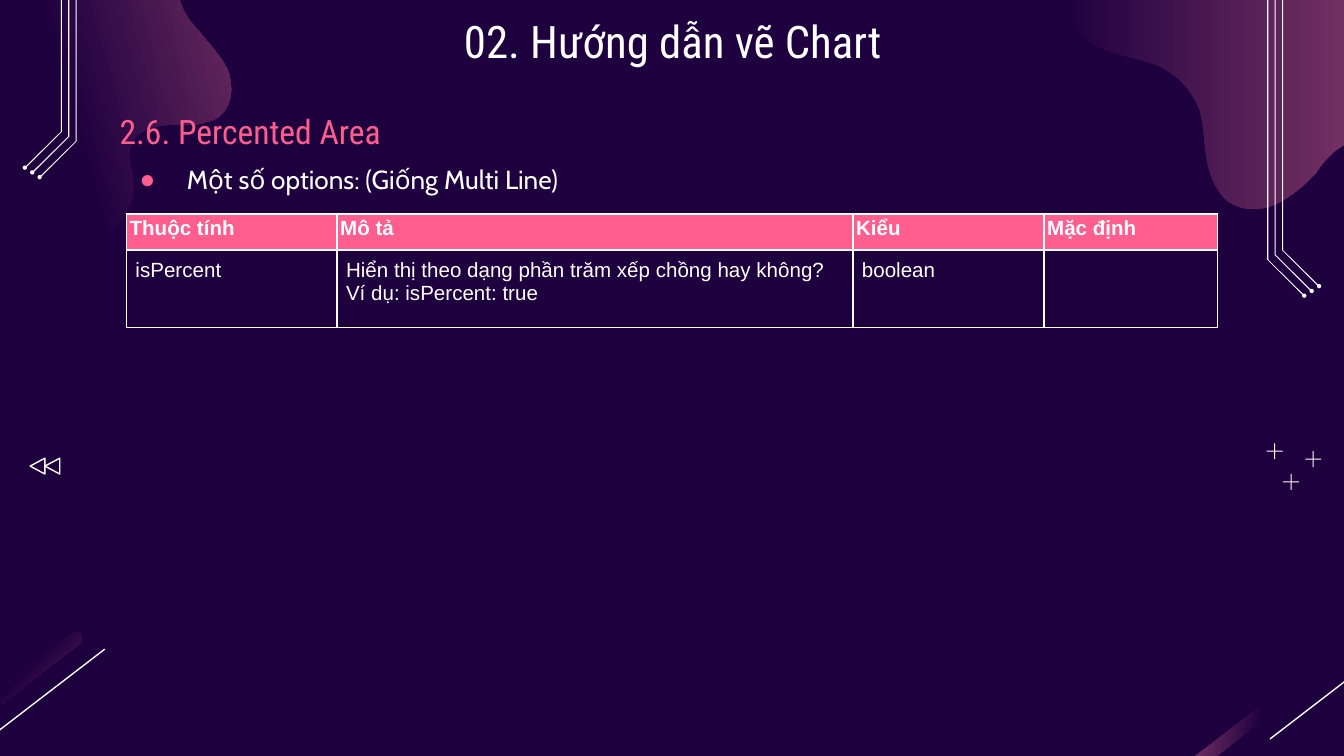
from lxml.etree import SubElement
from pptx import Presentation
from pptx.dml.color import RGBColor
from pptx.enum.shapes import MSO_CONNECTOR, MSO_SHAPE
from pptx.enum.text import MSO_ANCHOR, MSO_AUTO_SIZE, PP_ALIGN
from pptx.oxml import parse_xml
from pptx.oxml.ns import nsdecls, qn
from pptx.util import Cm, Pt

COLORS = {"night": "1E003F", "mauve": "A64D79", "pink": "FF5E8E", "white": "FFFFFF"}
GRID = Cm(2.54)  # unit of the curved outlines
FADE = [(0, "night"), (50, "night"), (100, "mauve")]

# Outlines: a start point, then line ends (x, y) or curves (two controls and an end)
LEFT_BLOB = [
    (0.48, 1.9), (0.74, 1.83, 0.86, 1.69, 0.9, 1.65), (0.98, 1.56, 1.01, 1.43, 0.99, 1.31),
    (0.98, 1.24, 0.95, 1.17, 0.97, 1.11), (0.98, 1.02, 1.06, 0.97, 1.14, 0.95),
    (1.24, 0.92, 1.33, 0.93, 1.42, 0.93), (1.46, 0.93, 1.5, 0.92, 1.53, 0.91),
    (1.58, 0.9, 1.63, 0.88, 1.66, 0.84), (1.74, 0.75, 1.73, 0.61, 1.69, 0.51),
    (1.64, 0.41, 1.55, 0.32, 1.48, 0.23), (1.4, 0.15, 1.33, 0.04, 1.33, -0.07),
    (1.59, -0.39), (2.28, -0.43), (2.59, -0.75), (2.33, -1.34), (1.67, -1.51), (0.54, -0.9),
    (-0.91, -0.74), (-1.74, -0.3), (-1.94, 0.22), (-1.56, 0.8), (-0.46, 1.06), (-0.13, 1.33),
    (-0.08, 1.44, -0.08, 1.55, -0.03, 1.66), (0.06, 1.84, 0.29, 1.95, 0.47, 1.9)]
RIGHT_BLOB = [
    (11.25, 0.38), (11.05, -0.35), (10.58, -0.77), (9.89, -0.84), (9.29, -1.13), (8.97, -1.41),
    (8.52, -1.45), (8.19, -1.29), (7.93, -0.78), (7.89, -0.38), (7.9, -0.18),
    (7.91, 0, 7.96, 0.18, 8.09, 0.3), (8.25, 0.42, 8.47, 0.42, 8.64, 0.5),
    (8.78, 0.57, 8.88, 0.69, 8.93, 0.83), (8.96, 0.94, 8.96, 1.07, 8.98, 1.19),
    (9, 1.3, 9.05, 1.43, 9.14, 1.5), (9.24, 1.57, 9.38, 1.57, 9.49, 1.52),
    (9.6, 1.47, 9.69, 1.39, 9.78, 1.3), (9.83, 1.23, 9.88, 1.16, 9.95, 1.11),
    (10.02, 1.06, 10.1, 1.03, 10.18, 1.06), (10.52, 1.38), (10.85, 1.4), (11.17, 0.88)]
STREAK = [
    (0.56, 0.01), (0.57, 0.01, 0.59, 0.01, 0.6, 0.02), (0.61, 0.05, 0.61, 0.08, 0.59, 0.09),
    (-0.81, 1.18), (-0.88, 1.17), (-0.87, 1.1), (0.53, 0.02)]

def color(name):
    return RGBColor.from_string(COLORS[name])

def flatten(outline, steps=8):
    """Turn an outline with cubic curves into a list of points."""
    points = [outline[0]]
    for segment in outline[1:]:
        curve = points[-1] + segment
        for t in [step / steps for step in range(1, steps + 1)] if len(segment) == 6 else []:
            weights = ((1 - t) ** 3, 3 * t * (1 - t) ** 2, 3 * t * t * (1 - t), t ** 3)
            points.append(tuple(sum(w * v for w, v in zip(weights, curve[axis::2])) for axis in (0, 1)))
        if len(segment) == 2:
            points.append(segment)
    return points

def paint(shape, filled=True):
    """White fill, or a white line only."""
    shape.shadow.inherit = False
    visible, hidden = (shape.fill, shape.line.fill) if filled else (shape.line.fill, shape.fill)
    visible.solid()
    visible.fore_color.rgb = color("white")
    hidden.background()

def add_outline(slide, left, top, outline, unit=GRID):
    points = [(left + round(x * unit), top + round(y * unit)) for x, y in flatten(outline)]
    builder = slide.shapes.build_freeform(*points[0])
    builder.add_line_segments(points[1:], close=True)
    shape = builder.convert_to_shape()
    paint(shape)
    return shape

def set_gradient(shape, stops, angle=None):
    """Linear at an angle, or circular from the top left corner without one."""
    marks = "".join(f'<a:gs pos="{at * 1000}"><a:srgbClr val="{COLORS[name]}"/></a:gs>' for at, name in stops)
    course = '<a:path path="circle"><a:fillToRect r="100000" b="100000"/></a:path>'
    if angle is not None:
        course = f'<a:lin ang="{round(angle * 60000)}" scaled="0"/>'
    properties = shape._element.spPr
    properties.replace(properties.find(qn("a:solidFill")), parse_xml(
        f'<a:gradFill {nsdecls("a")} rotWithShape="1"><a:gsLst>{marks}</a:gsLst>{course}</a:gradFill>'))

def draw_blobs(slide, left, top):
    set_gradient(add_outline(slide, left, top, LEFT_BLOB), FADE, 345)
    set_gradient(add_outline(slide, left, top, RIGHT_BLOB), FADE[::2], 0)

def draw_streak(slide, left, top, angle=None):
    set_gradient(add_outline(slide, left, top, STREAK), FADE, angle)
    line = slide.shapes.add_connector(MSO_CONNECTOR.STRAIGHT, left + Cm(1.98), top + Cm(0.33),
                                      left - Cm(0.23), top + Cm(2.03))
    line.line.color.rgb = color("white")
    line.line.width = Pt(0.75)
    SubElement(line._element.spPr, qn("a:effectLst"))

def draw_traces(slide, left, top, side):
    """Three bent lines with end dots; side is 1 or -1 for the way they bend."""
    for index in range(3):
        x, height = left - side * Cm(0.14) * index, 7.75 + 0.09 * index
        corners = [(0.02, 0), (0, 0), (0, height), (0.69, height + 0.69),
                   (0.7, height + 0.67), (0.02, height)]
        add_outline(slide, x, top, [(side * across, down) for across, down in corners], Cm(1))
        paint(slide.shapes.add_shape(MSO_SHAPE.OVAL, x + side * Cm(0.7) - Cm(0.04),
                                     top + Cm(height + 0.64), Cm(0.08), Cm(0.08)))

def draw_pluses(slide, left, top):
    arm, thin = Cm(0.3), Cm(0.02)
    for x, y in ((0.46, 0.73), (0.88, 0.3), (0.15, 0.15)):
        for width, height in ((arm, thin), (thin, arm)):
            paint(slide.shapes.add_shape(MSO_SHAPE.RECTANGLE, left + Cm(x) - width // 2,
                                         top + Cm(y) - height // 2, width, height))

def draw_rewind(slide, left, top):
    for x in (left, left + Cm(0.28)):
        triangle = slide.shapes.add_shape(MSO_SHAPE.ISOSCELES_TRIANGLE, x, top, Cm(0.3), Cm(0.28))
        triangle.rotation = 270
        paint(triangle, filled=False)
        triangle.line.width = Pt(0.75)

def write(frame, text, size, font, ink="white", bold=False, align=PP_ALIGN.LEFT, spacing=1.0,
          after=0, bullet=None):
    frame.text = text
    for paragraph in frame.paragraphs:
        paragraph.alignment, paragraph.line_spacing = align, spacing
        paragraph.space_before, paragraph.space_after = Pt(0), Pt(after)
        properties = paragraph._p.get_or_add_pPr()
        properties.set("marL", str(Cm(1.27) if bullet else 0))
        properties.set("indent", str(-Cm(0.89) if bullet else 0))
        if bullet:
            SubElement(SubElement(properties, qn("a:buClr")), qn("a:srgbClr")).set("val", COLORS["pink"])
            SubElement(properties, qn("a:buChar")).set("char", bullet)
        else:
            SubElement(properties, qn("a:buNone"))
        for run in paragraph.runs:
            run.font.size, run.font.name, run.font.bold = Pt(size), font, bold
            run.font.color.rgb = color(ink)

def fill_placeholder(slide, placeholder, box, text, anchor=MSO_ANCHOR.TOP, **style):
    slide.shapes._spTree.append(placeholder._element)  # in front of the decoration
    placeholder.left, placeholder.top, placeholder.width, placeholder.height = map(Cm, box)
    frame = placeholder.text_frame
    frame.word_wrap, frame.auto_size, frame.vertical_anchor = True, MSO_AUTO_SIZE.NONE, anchor
    frame.margin_left = frame.margin_right = frame.margin_top = frame.margin_bottom = Cm(0.25)
    write(frame, text, **style)

def draw_option_table(slide, left, top, rows):
    widths, heights = (3.98, 9.75, 3.61, 3.28), (0.68, 1.47)
    table = slide.shapes.add_table(2, 4, left, top, Cm(sum(widths)), Cm(sum(heights))).table
    table.first_row = table.horz_banding = False
    for column, width in zip(table.columns, widths):
        column.width = Cm(width)
    for row, texts, height in zip(table.rows, rows, heights):
        row.height = Cm(height)
        for cell, text in zip(row.cells, texts):
            format_cell(cell, text, header=texts is rows[0])

def format_cell(cell, text, header):
    inset = Cm(0.06 if header else 0.17)
    cell.margin_left = cell.margin_right = cell.margin_top = cell.margin_bottom = inset
    write(cell.text_frame, text, 11, "Arial", bold=header)
    for edge in "LRTB":
        cell._tc.get_or_add_tcPr().append(parse_xml(
            f'<a:ln{edge} {nsdecls("a")} w="{Pt(1)}"><a:solidFill><a:srgbClr val="{COLORS["white"]}"/>'
            f'</a:solidFill></a:ln{edge}>'))
    cell.fill.background()
    if header:
        cell.fill.solid()
        cell.fill.fore_color.rgb = color("pink")

def main():
    presentation = Presentation()
    presentation.slide_width, presentation.slide_height = Cm(25.4), Cm(14.29)
    slide = presentation.slides.add_slide(presentation.slide_layouts[3])
    slide.background.fill.solid()
    slide.background.fill.fore_color.rgb = color("night")
    title, options, heading = slide.placeholders
    # Decoration
    draw_blobs(slide, 0, 0)
    draw_streak(slide, 0, Cm(11.94))
    draw_streak(slide, Cm(24.23), Cm(11.94), angle=187.3)
    draw_traces(slide, Cm(24.23), Cm(-3.02), 1)
    draw_traces(slide, Cm(1.17), Cm(-5.26), -1)
    draw_pluses(slide, Cm(23.94), Cm(8.38))
    draw_rewind(slide, Cm(0.56), Cm(8.67))
    # List, title and heading
    fill_placeholder(slide, options, (2.01, 2.54, 20.62, 1.27), "Một số options: (Giống Multi Line)",
                     size=14, font="Cabin", spacing=1.5, bullet="●")
    fill_placeholder(slide, title, (2.01, 0, 21.41, 1.6), "02. Hướng dẫn vẽ Chart",
                     size=24, font="Roboto Condensed", align=PP_ALIGN.CENTER)
    fill_placeholder(slide, heading, (2.01, 1.96, 17.83, 1.14), "2.6. Percented Area", MSO_ANCHOR.BOTTOM,
                     size=18, font="Roboto Condensed", ink="pink", spacing=1.15, after=12)
    # Option table
    draw_option_table(slide, Cm(2.39), Cm(4.04), [
        ("Thuộc tính", "Mô tả", "Kiểu", "Mặc định"),
        ("isPercent", "Hiển thị theo dạng phần trăm xếp chồng hay không?\nVí dụ: isPercent: true",
         "boolean", "")])
    presentation.save("out.pptx")

if __name__ == "__main__":
    main()
